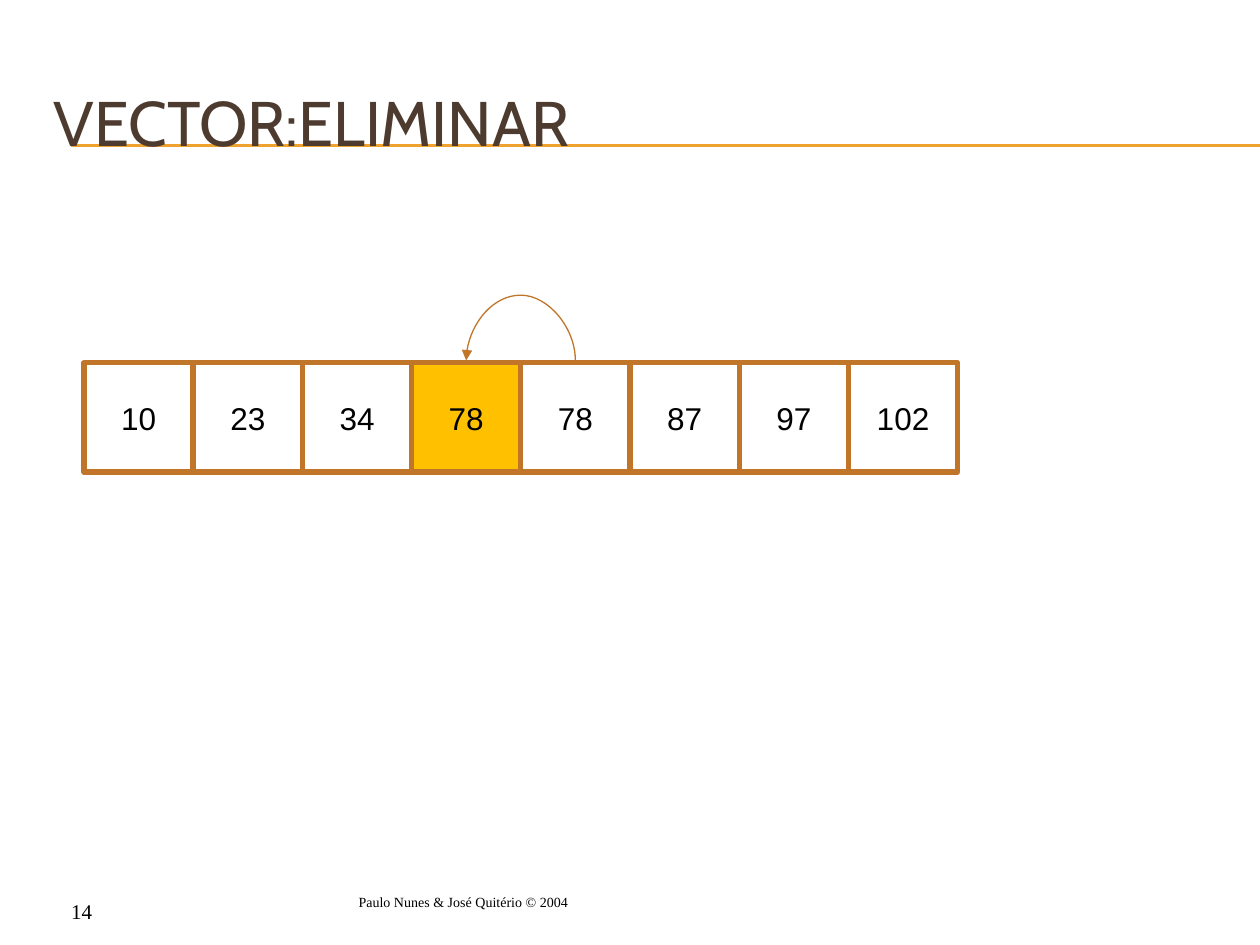
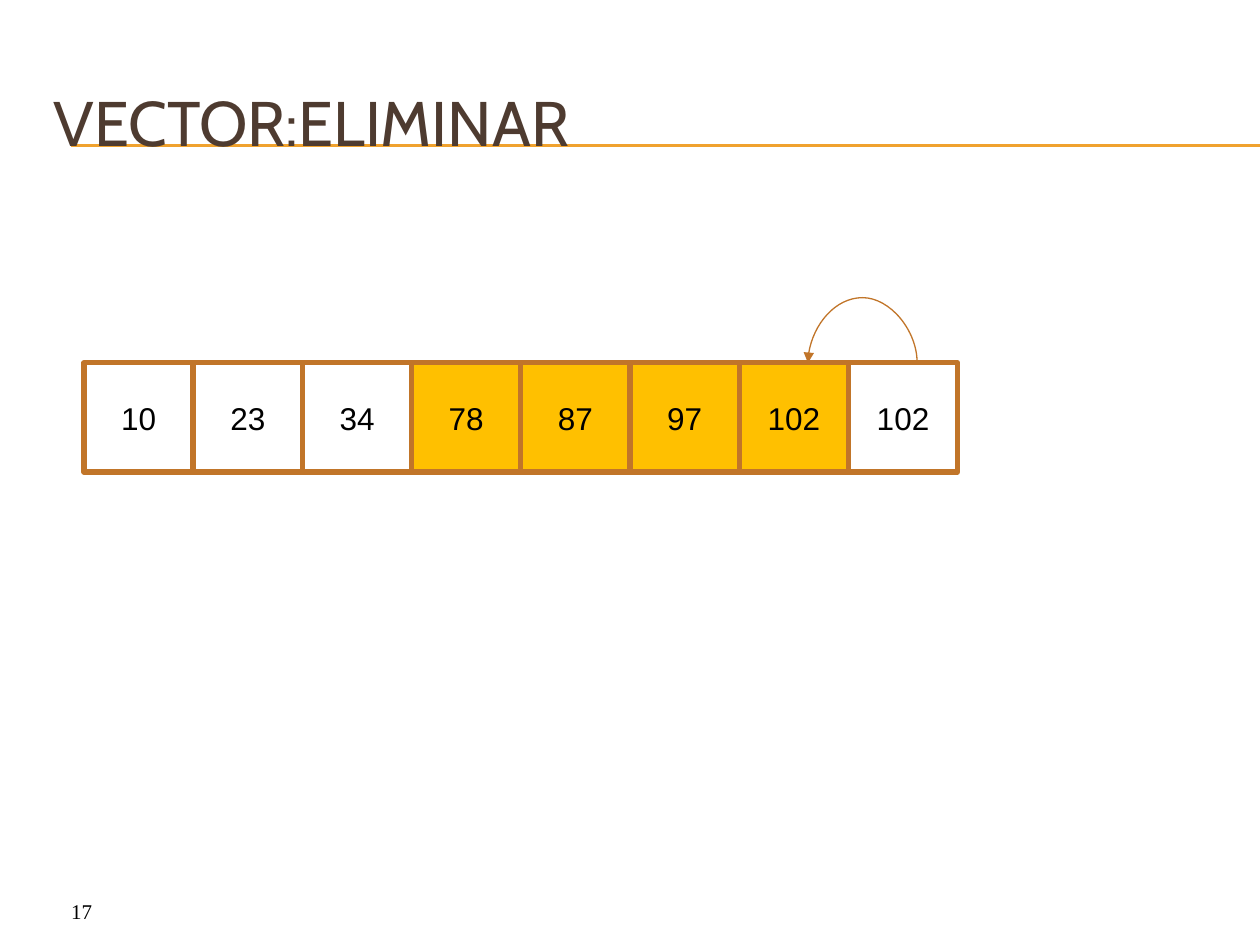
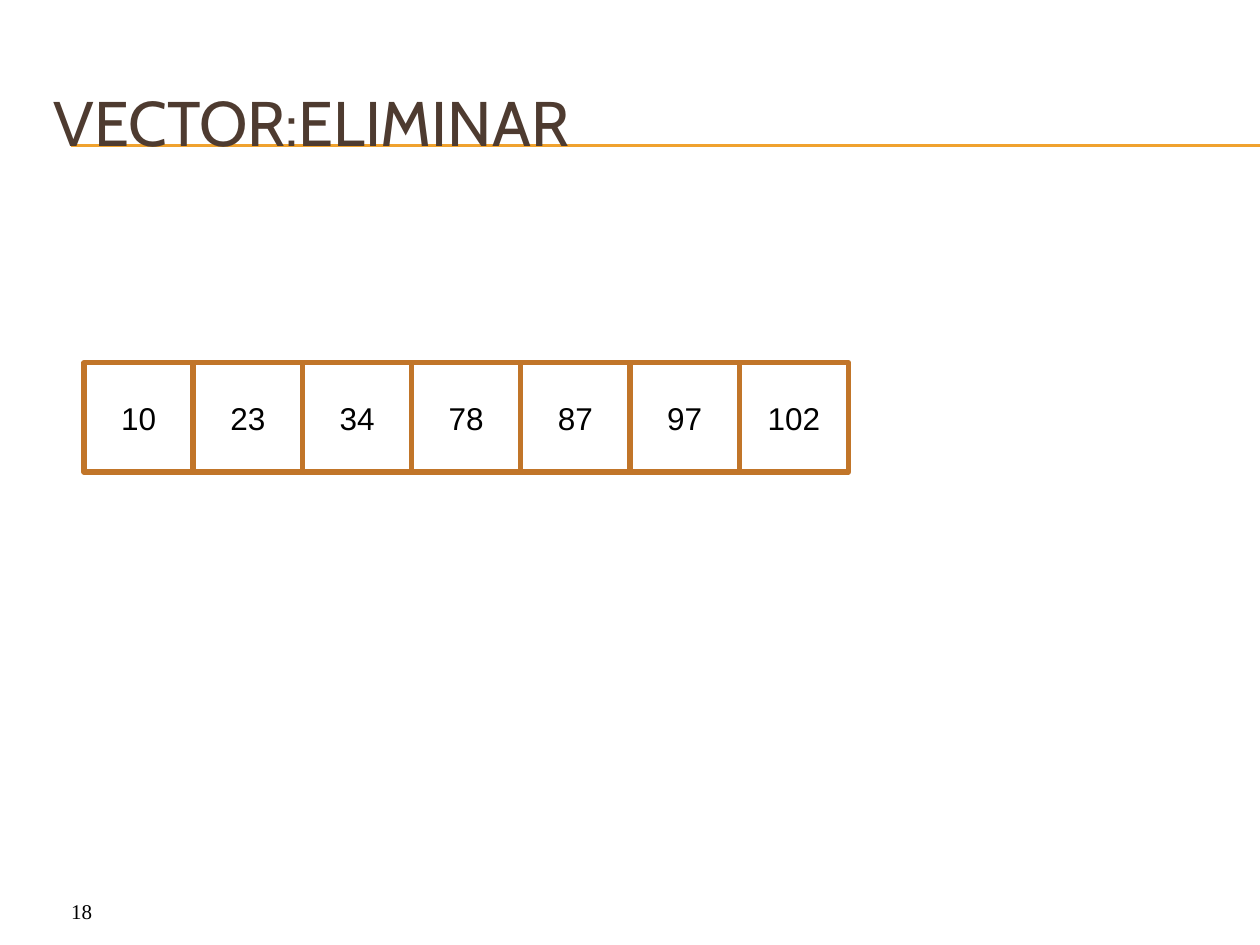
from pptx import Presentation
from pptx.dml.color import RGBColor
from pptx.enum.shapes import MSO_CONNECTOR, MSO_SHAPE
from pptx.enum.text import MSO_ANCHOR, PP_ALIGN
from pptx.oxml.ns import qn
from pptx.oxml.xmlchemy import OxmlElement
from pptx.util import Inches, Pt

COLORS = {
    "title": "4E3B30",
    "rule": "F0A22E",
    "border": "C17529",
    "moved": "FFC000",
    "plain": "FFFFFF",
    "text": "000000",
}
TITLE = "VECTOR:ELIMINAR"
CREDIT = "Paulo Nunes & José Quitério © 2004"

# The vector is a row of square cells; arrows are placed in cell units.
CELL = Inches(2.6) / 3
ROW_LEFT = Inches(2) / 3
ROW_TOP = Inches(2.88)
ARC_HEIGHT = Inches(0.57)
ARC_SPAN = 1588  # a curve between level ends still needs a tiny width


def color(key):
    return RGBColor.from_string(COLORS[key])


def add_child(parent, tag, **attributes):
    child = OxmlElement(tag)
    for key, value in attributes.items():
        child.set(key, str(value))
    parent.append(child)
    return child


class VectorDeck:
    """Holds the shared style and the slide being built."""

    def __init__(self):
        self.deck = Presentation()
        self.deck.slide_width = Inches(10)
        self.deck.slide_height = Inches(7.5)
        self.slide = None

    def new_slide(self, number):
        self.slide = self.deck.slides.add_slide(self.deck.slide_layouts[6])
        for height in (1.15, 1.16):
            self.line(MSO_CONNECTOR.STRAIGHT, Inches(0.56), Inches(height),
                      self.deck.slide_width, Inches(height), "rule")
        self.label(str(number), 0, 7.08, 0.83, 0.27, 12)
        self.label(TITLE, 0.33, 0.5, 9.5, 0.92, 36, "Cabin", "title",
                   PP_ALIGN.LEFT, MSO_ANCHOR.MIDDLE)

    def add_text(self, frame, text, size, font, ink, align, anchor):
        frame.vertical_anchor = anchor
        paragraph = frame.paragraphs[0]
        paragraph.alignment = align
        run = paragraph.add_run()
        run.text = text
        run.font.size = Pt(size)
        run.font.name = font
        run.font.color.rgb = color(ink)

    def label(self, text, left, top, width, height, size,
              font="Times New Roman", ink="text",
              align=PP_ALIGN.RIGHT, anchor=MSO_ANCHOR.TOP):
        box = self.slide.shapes.add_textbox(
            Inches(left), Inches(top), Inches(width), Inches(height))
        box.text_frame.word_wrap = True
        self.add_text(box.text_frame, text, size, font, ink, align, anchor)

    def line(self, kind, x1, y1, x2, y2, ink):
        connector = self.slide.shapes.add_connector(
            kind, round(x1), round(y1), round(x2), round(y2))
        connector.line.color.rgb = color(ink)
        connector.line.width = Pt(0.75)
        add_child(connector._element.spPr, "a:effectLst")
        return connector

    def vector(self, values, moved=(), fill=None):
        """Draw the cells; those whose index is in moved are highlighted."""
        for index, value in enumerate(values):
            cell = self.slide.shapes.add_shape(
                MSO_SHAPE.RECTANGLE, round(ROW_LEFT + index * CELL), ROW_TOP,
                round(CELL), round(CELL))
            cell.shadow.inherit = False
            cell_fill = "moved" if index in moved else fill
            if cell_fill:
                cell.fill.solid()
                cell.fill.fore_color.rgb = color(cell_fill)
            else:
                cell.fill.background()
            cell.line.color.rgb = color("border")
            cell.line.width = Pt(3)
            cell.text_frame.word_wrap = False
            self.add_text(cell.text_frame, str(value), 18, "Arial", "text",
                          PP_ALIGN.CENTER, MSO_ANCHOR.MIDDLE)

    def shift_arrow(self, center, base):
        """Arc one cell leftwards, centred that many cells along the row."""
        middle = ROW_LEFT + center * CELL
        base = Inches(base)
        # Drawn upright from bottom to top, then turned a quarter to the left.
        arc = self.line(MSO_CONNECTOR.CURVE,
                        middle + ARC_SPAN / 2, base + CELL / 2,
                        middle - ARC_SPAN / 2, base - CELL / 2, "border")
        properties = arc._element.spPr
        properties.find(qn("a:xfrm")).set("rot", str(270 * 60000))
        guides = properties.find(qn("a:prstGeom")).get_or_add_avLst()
        bend = -round(ARC_HEIGHT / ARC_SPAN * 100000)
        add_child(guides, "a:gd", name="adj1", fmla=f"val {bend}")
        add_child(arc.line._get_or_add_ln(), "a:tailEnd", type="triangle")


def main():
    deck = VectorDeck()

    deck.new_slide(14)
    deck.label(CREDIT, 0.94, 7.04, 3.67, 0.32, 8)
    deck.vector([10, 23, 34, 78, 78, 87, 97, 102], moved=[3])
    deck.shift_arrow(4, 2.86)

    deck.new_slide(17)
    deck.vector([10, 23, 34, 78, 87, 97, 102, 102], moved=range(3, 7))
    deck.shift_arrow(7.13, 2.88)

    deck.new_slide(18)
    deck.vector([10, 23, 34, 78, 87, 97, 102], fill="plain")

    deck.deck.save("out.pptx")


if __name__ == "__main__":
    main()
